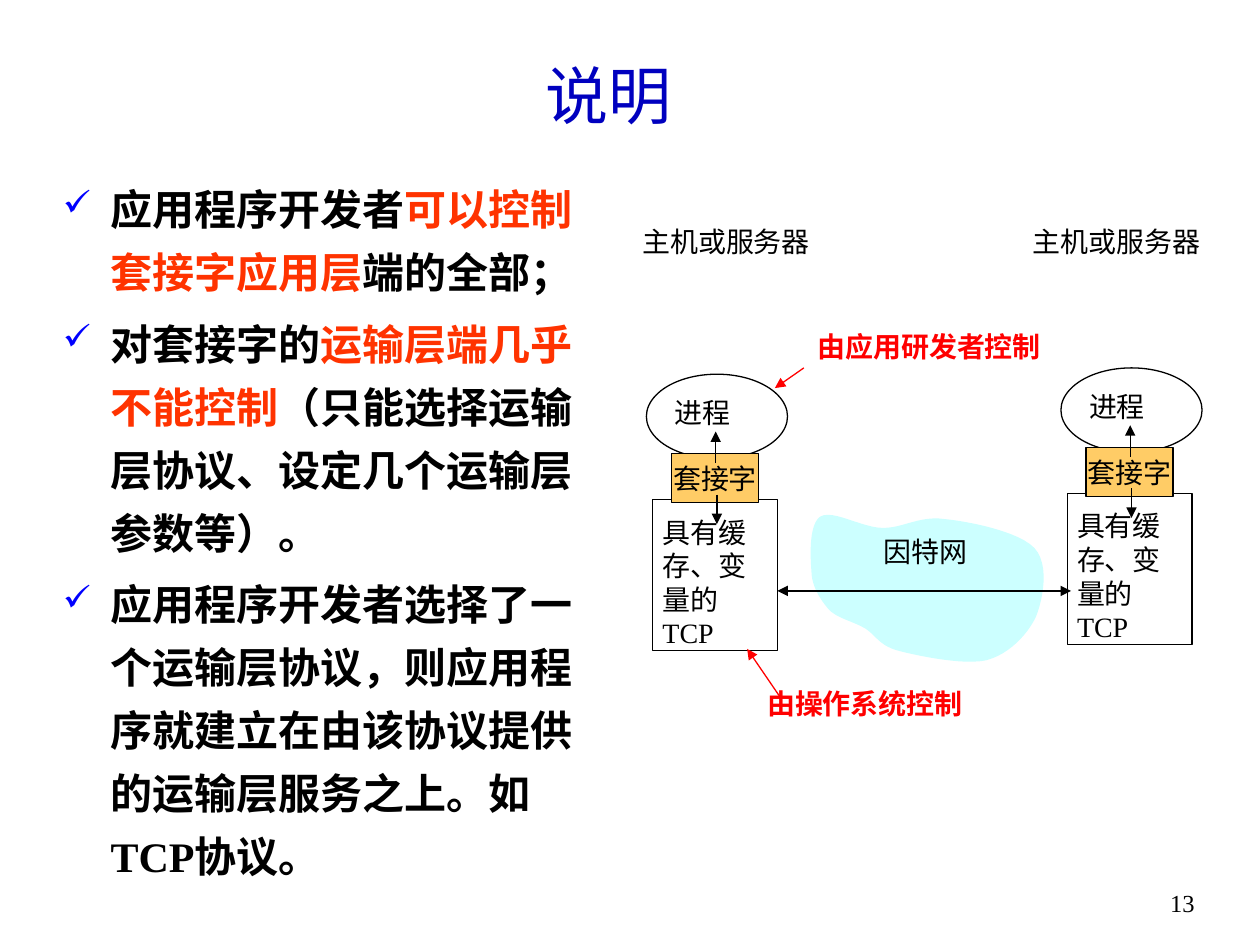
import collections

import lxml.etree
import pptx
import pptx.dml.color
import pptx.enum.shapes
import pptx.enum.text
import pptx.oxml.ns
import pptx.util

Box = collections.namedtuple("Box", "left top width height")
COLOURS = {"ink": "000000", "title": "0000BF", "check": "0000FF", "stress": "FF3300",
           "control": "FF0000", "socket": "FFCC66", "cloud": "CCFFFF"}
FONT = "Times New Roman"
COLUMNS, ROWS = 100, 75
CELL = pptx.util.Inches(0.1)
ALIGN = pptx.enum.text.PP_ALIGN
MIDDLE = pptx.enum.text.MSO_ANCHOR.MIDDLE
SHAPE = pptx.enum.shapes.MSO_SHAPE

POINTS = [
    [("应用程序开发者", "ink"), ("可以控制套接字应用层", "stress"), ("端的全部；", "ink")],
    [("对套接字的", "ink"), ("运输层端几乎不能控制", "stress"),
     ("（只能选择运输层协议、设定几个运输层参数等）。", "ink")],
    [("应用程序开发者选择了一个运输层协议，则应用程序就建立在由该协议提供的运输层服务之上。如TCP协议。", "ink")],
]
CLOUD_START = (0.2, 4.9)
CLOUD_CURVES = [
    ((0.1, 3.7), (0, 1.2), (0.9, 0.6)), ((1.9, 0), (4.2, 1.5), (5.9, 1.5)),
    ((7.5, 1.5), (8.8, 0.5), (10.8, 0.8)), ((12.8, 1), (16.7, 1.8), (17.9, 3.1)),
    ((19.1, 4.4), (18.6, 7.1), (18, 8.6)), ((17.3, 10), (15.9, 11.5), (14.1, 12)),
    ((12.3, 12.4), (8.9, 11.7), (7.3, 11.3)), ((5.6, 10.9), (5.4, 10.1), (4.5, 9.5)),
    ((3.5, 8.9), (2.3, 8.7), (1.6, 8)), ((0.9, 7.2), (0.2, 6.1), CLOUD_START),
]


def colour(name):
    """Return the named colour."""
    return pptx.dml.color.RGBColor.from_string(COLOURS[name])


def grid(*cells):
    """Turn grid cells into slide lengths."""
    return [round(cell * CELL) for cell in cells]


def inside(box, left, top, width, height):
    """Return a box placed relative to the corner of another."""
    return Box(box.left + left, box.top + top, width, height)


def write(frame, paragraphs, font, paragraph_format=None, frame_format=None, bulleted=False):
    """Fill a text frame with paragraphs of coloured runs."""
    for name, value in (frame_format or {}).items():
        setattr(frame, name, value)
    for index, runs in enumerate(paragraphs):
        paragraph = frame.add_paragraph() if index else frame.paragraphs[0]
        if bulleted:
            add_check(paragraph)
            if index:
                paragraph.space_before = pptx.util.Pt(4.8)
        for name, value in (paragraph_format or {}).items():
            setattr(paragraph, name, value)
        for words, shade in runs:
            run = paragraph.add_run()
            run.text = words
            for name, value in {"name": FONT, **font}.items():
                setattr(run.font, name, value)
            run.font.color.rgb = colour(shade)


def add_check(paragraph):
    """Give a paragraph a hanging check mark."""
    properties = paragraph._p.get_or_add_pPr()
    indent = pptx.util.Inches(0.38)
    properties.set("marL", str(indent))
    properties.set("indent", str(-indent))
    qn = pptx.oxml.ns.qn
    shade = lxml.etree.SubElement(properties, qn("a:buClr"))
    lxml.etree.SubElement(shade, qn("a:srgbClr"), val=COLOURS["check"])
    lxml.etree.SubElement(properties, qn("a:buSzPct"), val="85000")
    lxml.etree.SubElement(properties, qn("a:buChar"), char="✓")


def add_label(slide, box, words, shade="ink", size=16, bold=False, wrap=False,
              align=ALIGN.LEFT, anchor=pptx.enum.text.MSO_ANCHOR.TOP):
    """Place one line or block of plain text."""
    frame = slide.shapes.add_textbox(*grid(*box)).text_frame
    write(frame, [[(words, shade)]], {"size": pptx.util.Pt(size), "bold": bold},
          {"alignment": align}, {"word_wrap": wrap, "vertical_anchor": anchor})


def add_outline(slide, kind, box, fill=None):
    """Place an outlined shape."""
    outline = slide.shapes.add_shape(kind, *grid(*box))
    outline.shadow.inherit = False
    if fill:
        outline.fill.solid()
        outline.fill.fore_color.rgb = colour(fill)
    else:
        outline.fill.background()
    outline.line.color.rgb = colour("ink")
    outline.line.width = pptx.util.Pt(0.75)
    return outline


def add_arrow(slide, box, start, end, shade="ink", ends=("tailEnd",)):
    """Draw an arrow between two points of a box."""
    corners = [box.left + start[0], box.top + start[1], box.left + end[0], box.top + end[1]]
    arrow = slide.shapes.add_connector(pptx.enum.shapes.MSO_CONNECTOR.STRAIGHT, *grid(*corners))
    arrow.line.color.rgb = colour(shade)
    arrow.line.width = pptx.util.Pt(0.75)
    for end_name in ends:
        lxml.etree.SubElement(arrow.line._get_or_add_ln(), pptx.oxml.ns.qn(f"a:{end_name}"),
                              type="triangle")
    lxml.etree.SubElement(arrow._element.spPr, pptx.oxml.ns.qn("a:effectLst"))


def add_points(slide, box):
    """Place the checked list."""
    frame = slide.shapes.add_textbox(*grid(*box)).text_frame
    write(frame, POINTS, {"size": pptx.util.Pt(24), "bold": True}, {"line_spacing": 1.25},
          {"word_wrap": True}, bulleted=True)


def add_cloud(slide, box):
    """Draw the network cloud with its name."""
    outline = [CLOUD_START]
    for first, second, end in CLOUD_CURVES:
        start = outline[-1]
        for step in range(1, 13):
            t = step / 12
            weights = ((1 - t) ** 3, 3 * t * (1 - t) ** 2, 3 * t * t * (1 - t), t ** 3)
            outline.append(tuple(sum(w * point[axis] for w, point in
                                     zip(weights, (start, first, second, end)))
                                 for axis in (0, 1)))
    corners = [grid(box.left + x, box.top + y) for x, y in outline]
    builder = slide.shapes.build_freeform(*corners[0])
    builder.add_line_segments(corners[1:], close=True)
    cloud = builder.convert_to_shape()
    cloud.shadow.inherit = False
    cloud.fill.solid()
    cloud.fill.fore_color.rgb = colour("cloud")
    cloud.line.fill.background()
    add_label(slide, inside(box, 4.9, 1.5, 8.7, 3.7), "因特网", align=ALIGN.CENTER)


def add_host(slide, box):
    """Stack a process, its socket and its TCP block."""
    add_outline(slide, SHAPE.OVAL, inside(box, 0, 0, box.width, 6.7))
    add_label(slide, inside(box, 1.25, 1.2, 6.5, 3.7), "进程")
    add_outline(slide, SHAPE.RECTANGLE, inside(box, 0.5, 9.95, 9.9, 12))
    add_label(slide, inside(box, 0.3, 10.7, 10.3, 11.7), "具有缓存、变量的TCP", wrap=True)
    socket = add_outline(slide, SHAPE.RECTANGLE, inside(box, 2, 6.3, 6.9, 3.9), "socket")
    write(socket.text_frame, [[("套接字", "ink")]], {"size": pptx.util.Pt(16)},
          {"alignment": ALIGN.CENTER}, {"word_wrap": False, "vertical_anchor": MIDDLE})
    add_arrow(slide, box, (5.5, 7.05), (5.5, 4.55))
    add_arrow(slide, box, (5.6, 9.55), (5.6, 11.9))


def add_network(slide, box):
    """Draw two hosts joined across the network, with notes on control."""
    add_cloud(slide, inside(box, 14.2, 23.1, 19.1, 12.4))
    for host_left, host_top, name_left in ((1.3, 12.4, 0), (34.2, 11.9, 31)):
        add_host(slide, inside(box, host_left, host_top, 11.2, 22))
        add_label(slide, inside(box, name_left, 0, 15.4, 3.7), "主机或服务器")
    add_arrow(slide, box, (11.7, 29.6), (35, 29.6), ends=("headEnd", "tailEnd"))
    add_label(slide, inside(box, 9.9, 36.7, 17.7, 3.7), "由操作系统控制", "control", bold=True)
    add_arrow(slide, box, (11.9, 38), (9.3, 34.2), "control")
    add_label(slide, inside(box, 13.9, 8.4, 20.5, 3.7), "由应用研发者控制", "control",
              bold=True, wrap=True)
    add_arrow(slide, box, (13.8, 11.9), (11.5, 13.5), "control")


def main():
    """Build and save the slide."""
    deck = pptx.Presentation()
    deck.slide_width, deck.slide_height = grid(COLUMNS, ROWS)
    slide = deck.slides.add_slide(deck.slide_layouts[6])
    add_label(slide, Box(90.8, 70, 5, 5), "13", size=14, wrap=True, align=ALIGN.RIGHT)
    add_label(slide, Box(5.8, 2.5, 85, 10), "说明", "title", 36, wrap=True,
              align=ALIGN.CENTER, anchor=MIDDLE)
    add_points(slide, Box(4, 13.1, 43.9, 59.9))
    add_network(slide, Box(50, 17.3, 46.4, 40.4))
    deck.save("out.pptx")


if __name__ == "__main__":
    main()
